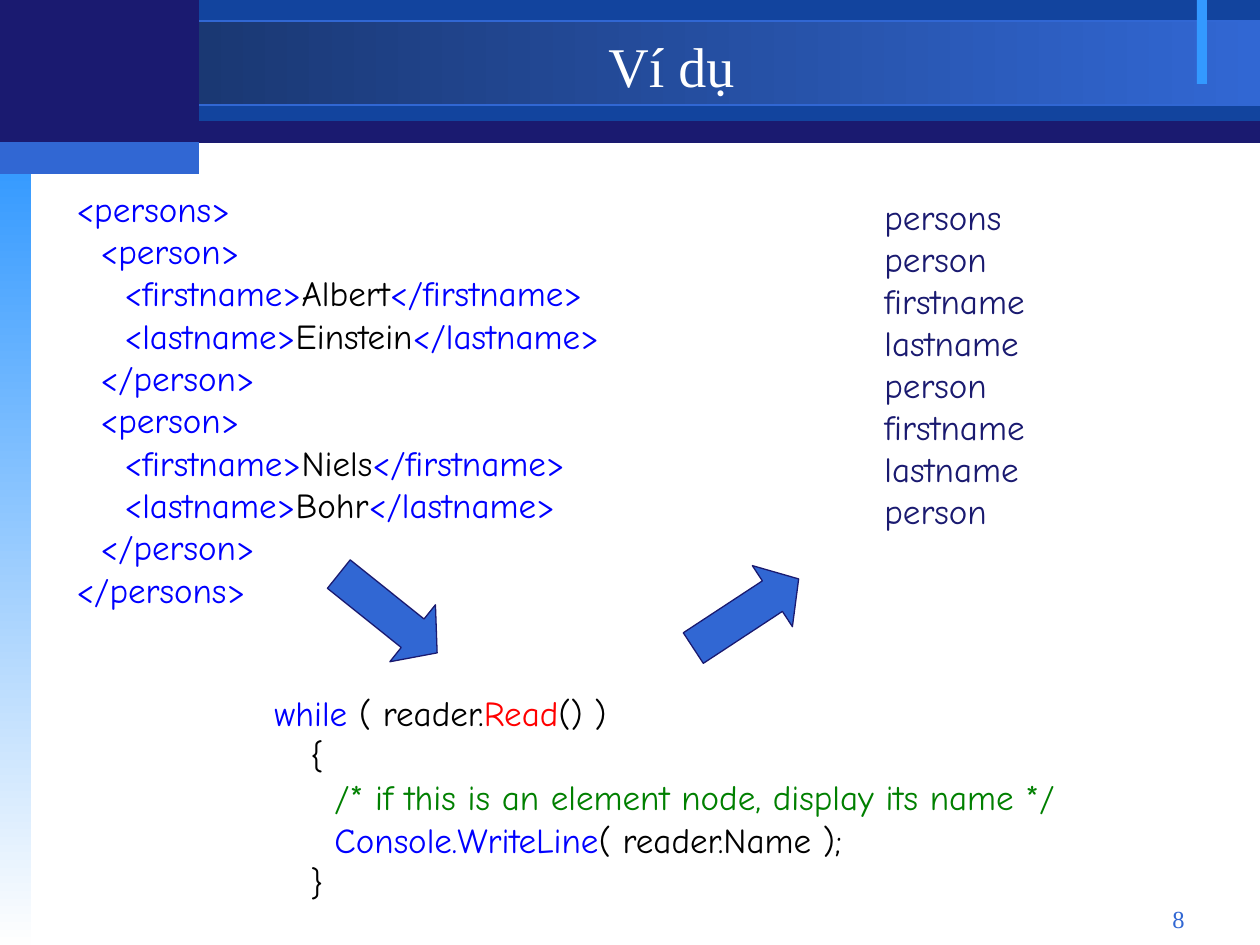
from pptx import Presentation
from pptx.dml.color import RGBColor
from pptx.enum.shapes import MSO_SHAPE
from pptx.enum.text import MSO_ANCHOR, PP_ALIGN
from pptx.util import Pt

RECT, ARROW = MSO_SHAPE.RECTANGLE, MSO_SHAPE.RIGHT_ARROW
LEFT, MID, RIGHT = PP_ALIGN.LEFT, PP_ALIGN.CENTER, PP_ALIGN.RIGHT
TOP, CENTER = MSO_ANCHOR.TOP, MSO_ANCHOR.MIDDLE

WHITE = RGBColor(0xFF, 0xFF, 0xFF)
PALE = RGBColor(0xFE, 0xFE, 0xFE)
BLACK = RGBColor(0, 0, 0)
NAVY = RGBColor(0x1A, 0x1A, 0x70)
ROYAL = RGBColor(0x12, 0x44, 0x9E)
BLUE = RGBColor(0x31, 0x67, 0xD3)
DUSK = RGBColor(0x16, 0x2F, 0x61)
SKY = RGBColor(0x33, 0x99, 0xFF)
TAG = RGBColor(0, 0, 0xFF)
RED = RGBColor(0xFF, 0, 0)
GREEN = RGBColor(0, 0x80, 0)

SERIF, COMIC = "Times New Roman", "Comic Neue"
SPACE = 12


def emu(px):
    return round(px * 914400 / 126)


def tag(name, value):
    return 4, [(f"<{name}>", TAG), (value, BLACK), (f"</{name}>", TAG)]


def person(first, last):
    return [
        (2, [("<person>", TAG)]),
        tag("firstname", first),
        tag("lastname", last),
        (2, [("</person>", TAG)]),
    ]


class Deck:
    """Holds the style and the current slide."""

    def __init__(self):
        self.file = Presentation()
        self.file.slide_width, self.file.slide_height = emu(1260), emu(945)
        self.slide = self.file.slides.add_slide(self.file.slide_layouts[6])
        fill = self.slide.background.fill
        fill.solid()
        fill.fore_color.rgb = WHITE

    def shape(self, kind, box, color, line=None):
        item = self.slide.shapes.add_shape(kind, *map(emu, box))
        item.shadow.inherit = False
        item.fill.solid()
        item.fill.fore_color.rgb = color
        if line is None:
            item.line.fill.background()
        else:
            item.line.color.rgb = line
            item.line.width = Pt(0.75)
        return item

    def fade(self, box, start, end, angle, line=None):
        item = self.shape(RECT, box, start, line)
        item.fill.gradient()
        item.fill.gradient_angle = angle
        for stop, color in zip(item.fill.gradient_stops, (start, end)):
            stop.color.rgb = color

    def arrow(self, box, turn):
        item = self.shape(ARROW, box, BLUE, NAVY)
        item.rotation = turn
        item.adjustments[0], item.adjustments[1] = 0.5, 0.43

    def text(self, lines, box, size=20, font=COMIC, align=LEFT, anchor=TOP,
             pitch=1.0, before=0):
        frame = self.slide.shapes.add_textbox(*map(emu, box)).text_frame
        frame.word_wrap = True
        frame.vertical_anchor = anchor
        for row, (depth, runs) in enumerate(lines):
            para = frame.add_paragraph() if row else frame.paragraphs[0]
            para.alignment = align
            para.line_spacing = pitch
            para.space_before = Pt(before)
            para._p.get_or_add_pPr().set("marL", str(emu(depth * SPACE)))
            for words, color in runs:
                run = para.add_run()
                run.text = words
                run.font.name, run.font.size = font, Pt(size)
                run.font.color.rgb = color


def main():
    deck = Deck()
    deck.shape(RECT, (0, 1, 1260, 142), NAVY)
    deck.shape(RECT, (199, 0, 1061, 121), ROYAL)
    deck.fade((0, 21, 1260, 84), BLUE, DUSK, 180, line=BLUE)
    deck.fade((0, 158, 31, 787), SKY, PALE, 270)
    deck.shape(RECT, (1197, 0, 10, 84), SKY)
    deck.shape(RECT, (0, 0, 199, 147), NAVY)
    deck.shape(RECT, (0, 142, 199, 32), BLUE)

    deck.text([(0, [("Ví dụ", WHITE)])], (199, 29, 945, 73), size=32,
              font=SERIF, align=MID, anchor=CENTER)

    tree = [
        (0, [("<persons>", TAG)]),
        *person("Albert", "Einstein"),
        *person("Niels", "Bohr"),
        (0, [("</persons>", TAG)]),
    ]
    deck.text(tree, (64, 189, 577, 693), pitch=0.8, before=5)

    names = ["persons", "person", "firstname", "lastname",
             "person", "firstname", "lastname", "person"]
    deck.text([(0, [(name, NAVY)]) for name in names], (872, 189, 336, 349))

    deck.arrow((325, 577, 126, 73), 38.7)
    code = [
        (0, [("while", TAG), (" ( reader.", BLACK), ("Read", RED),
             ("() )", BLACK)]),
        (3, [("{", BLACK)]),
        (5, [("/* if this is an element node, display its name */", GREEN)]),
        (5, [("Console.WriteLine", TAG), ("( reader.Name );", BLACK)]),
        (3, [("}", BLACK)]),
    ]
    deck.text(code, (262, 693, 872, 215), pitch=0.8, before=5)
    deck.arrow((683, 577, 126, 73), 326.7)

    deck.text([(0, [("8", BLUE)])], (903, 898, 294, 34), size=14,
              font=SERIF, align=RIGHT)
    deck.file.save("out.pptx")


if __name__ == "__main__":
    main()
